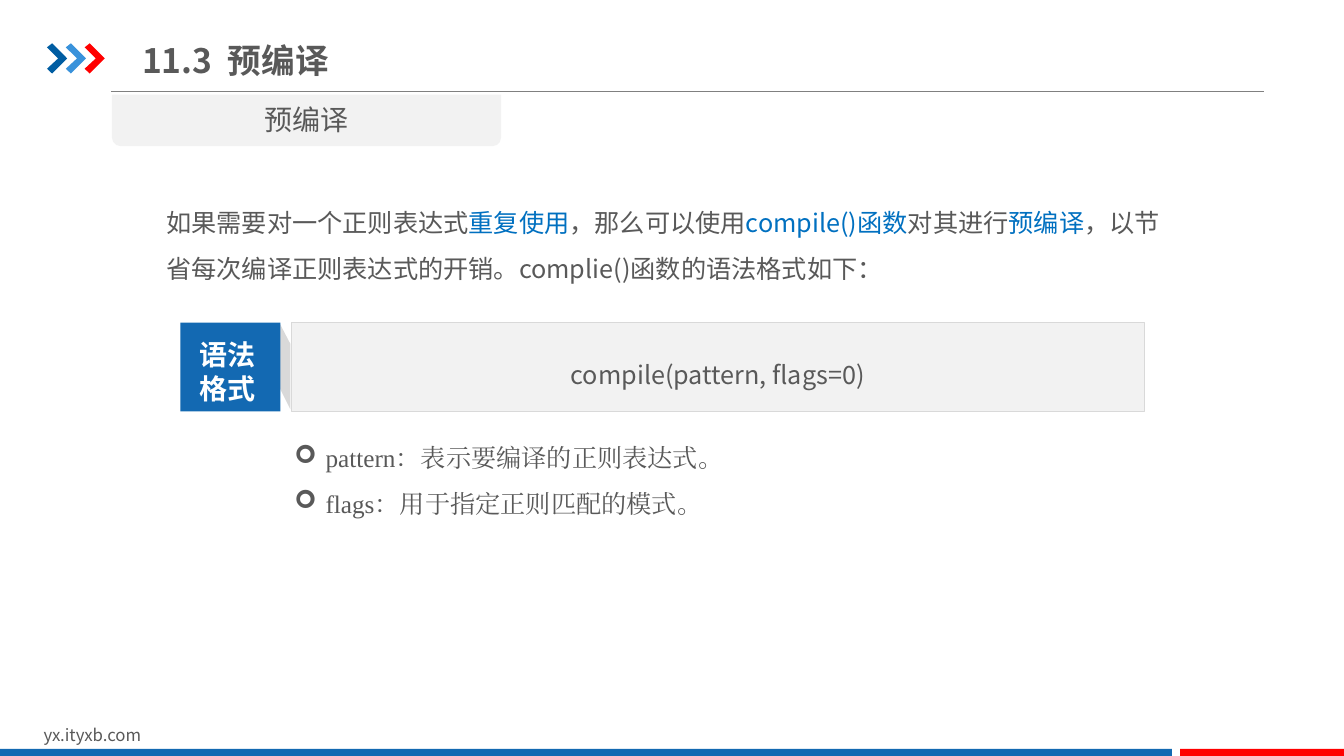
"""Build the slide on precompiling regular expressions."""
from lxml.etree import SubElement
from pptx import Presentation
from pptx.dml.color import RGBColor
from pptx.enum.shapes import MSO_CONNECTOR as CONNECTOR, MSO_SHAPE as SHAPE
from pptx.enum.text import MSO_ANCHOR as ANCHOR, MSO_AUTO_SIZE as AUTO, PP_ALIGN as ALIGN
from pptx.oxml.ns import qn
from pptx.util import Inches, Pt

COLOURS = {
    "text": "595959", "accent": "0070C0", "blue": "1369B2", "red": "FF0000",
    "navy": "005DA2", "sky": "3992DB", "pale": "F2F2F2", "edge": "D9D9D9",
    "rule": "808080", "white": "FFFFFF",
}
RGB = {name: RGBColor.from_string(value) for name, value in COLOURS.items()}
SANS, SERIF = "Noto Sans CJK SC", "Times New Roman"

deck = Presentation()
deck.slide_width, deck.slide_height = Inches(13.33), Inches(7.5)
COL, ROW = deck.slide_width / 100, deck.slide_height / 100
slide = deck.slides.add_slide(deck.slide_layouts[5])
shapes = slide.shapes


def grid(left, top, width, height):
    """Turn columns and rows into slide lengths."""
    return [round(n * unit) for n, unit in zip((left, top, width, height), (COL, ROW) * 2)]


def write(frame, paragraphs, size, colour="text", face=SANS, bold=False,
          align=ALIGN.LEFT, spacing=None, hang=0, bullet=None):
    """Fill a frame with paragraphs of (words, colour) runs."""
    frame.word_wrap = True
    frame.auto_size = AUTO.NONE
    for index, runs in enumerate(paragraphs):
        para = frame.add_paragraph() if index else frame.paragraphs[0]
        para.alignment = align
        if spacing:
            para.line_spacing = spacing
        props = para._p.get_or_add_pPr()
        if hang:
            props.set("marL", str(Inches(hang)))
            props.set("indent", str(-Inches(hang)))
        if bullet:
            SubElement(props, qn("a:buFont")).set("typeface", "Wingdings")
            SubElement(props, qn("a:buChar")).set("char", bullet)
        font = para.font
        font.size, font.bold, font.name = Pt(size), bold, face
        font.color.rgb = RGB[colour]
        SubElement(props.find(qn("a:defRPr")), qn("a:ea")).set("typeface", face)
        for words, tint in runs:
            run = para.add_run()
            run.text = words
            if tint != colour:
                run.font.color.rgb = RGB[tint]


header_rule = shapes.add_connector(
    CONNECTOR.STRAIGHT, *grid(8.25, 12.13, 94.05, 12.13))
header_rule.line.color.rgb = RGB["rule"]
header_rule.line.width = Pt(0.75)
SubElement(header_rule._element.spPr, qn("a:effectLst"))

chevron = [(0, 6.27), (0.38, 5.73), (1.5, 7.73), (0.38, 9.73), (0, 9.1), (0.83, 7.73)]
outlines = [([(3.5 + 1.4 * step + x, y) for x, y in chevron], tint)
            for step, tint in enumerate(("navy", "sky", "red"))]
ribbon_fold = [(21.6, 45.47), (21.6, 54.13), (20.78, 51.2), (20.78, 42.67)]
for corners, tint in outlines + [(ribbon_fold, "edge")]:
    points = [(round(x * COL), round(y * ROW)) for x, y in corners]
    builder = shapes.build_freeform(*points[0])
    builder.add_line_segments(points[1:], close=True)
    outline = builder.convert_to_shape()
    outline.shadow.inherit = False
    outline.fill.solid()
    outline.fill.fore_color.rgb = RGB[tint]
    outline.line.fill.background()

for kind, place, tint, turn in (
    (SHAPE.RECTANGLE, (0, 99.07, 87.2, 0.93), "blue", 0),
    (SHAPE.RECTANGLE, (87.8, 99.07, 12.2, 0.93), "red", 0),
    (SHAPE.ROUND_2_SAME_RECTANGLE, (8.33, 12.53, 28.95, 6.8), "pale", 180),
    (SHAPE.RECTANGLE, (13.43, 42.67, 7.43, 11.73), "blue", 0),
    (SHAPE.RECTANGLE, (21.68, 42.67, 63.45, 11.73), "pale", 0),
):
    panel = shapes.add_shape(kind, *grid(*place))
    panel.rotation = turn
    panel.shadow.inherit = False
    panel.fill.solid()
    panel.fill.fore_color.rgb = RGB[tint]
    panel.line.fill.background()

syntax = panel
syntax.line.color.rgb = RGB["edge"]
syntax.line.width = Pt(0.25)
syntax.text_frame.vertical_anchor = ANCHOR.MIDDLE
write(syntax.text_frame, [[("compile(pattern, flags=0)", "text")]], 18,
      align=ALIGN.CENTER, spacing=1.5)

heading = shapes.title
heading.left, heading.top, heading.width, heading.height = grid(9.83, 3.87, 40.58, 8.13)
heading.text_frame.vertical_anchor = ANCHOR.MIDDLE
write(heading.text_frame, [[("11.3  预编译", "text")]], 24, bold=True, hang=0.62)

intro = [
    ("如果需要对一个正则表达式", "text"), ("重复使用", "accent"),
    ("，那么可以使用", "text"), ("compile()函数", "accent"),
    ("对其进行", "text"), ("预编译", "accent"),
    ("，以节省每次编译正则表达式的开销。complie()函数的语法格式如下：", "text"),
]
parameters = [[("pattern：表示要编译的正则表达式。", "text")],
              [("flags：用于指定正则匹配的模式。", "text")]]
for place, paragraphs, size, style in (
    ((2.5, 95.2, 23.85, 4), [[("yx.ityxb.com", "text")]], 12, {}),
    ((8.33, 12.93, 28.95, 5.87), [[("预编译", "text")]], 20, {"align": ALIGN.CENTER}),
    ((11.63, 24.8, 76.2, 13.47), [intro], 18, {"spacing": 1.5}),
    ((13.8, 44, 6.23, 9.47), [[("语法", "white")], [("格式", "white")]], 20,
     {"colour": "white", "bold": True, "align": ALIGN.CENTER}),
    ((20.93, 55.6, 57.45, 13.87), parameters, 18,
     {"face": SERIF, "align": ALIGN.JUSTIFY, "spacing": 1.5, "hang": 0.31, "bullet": "➢"}),
):
    passage = shapes.add_textbox(*grid(*place)).text_frame
    write(passage, paragraphs, size, **style)

passage.margin_left = passage.margin_right = Inches(0.13)
passage.margin_top = passage.margin_bottom = Inches(0.07)

deck.save("out.pptx")
